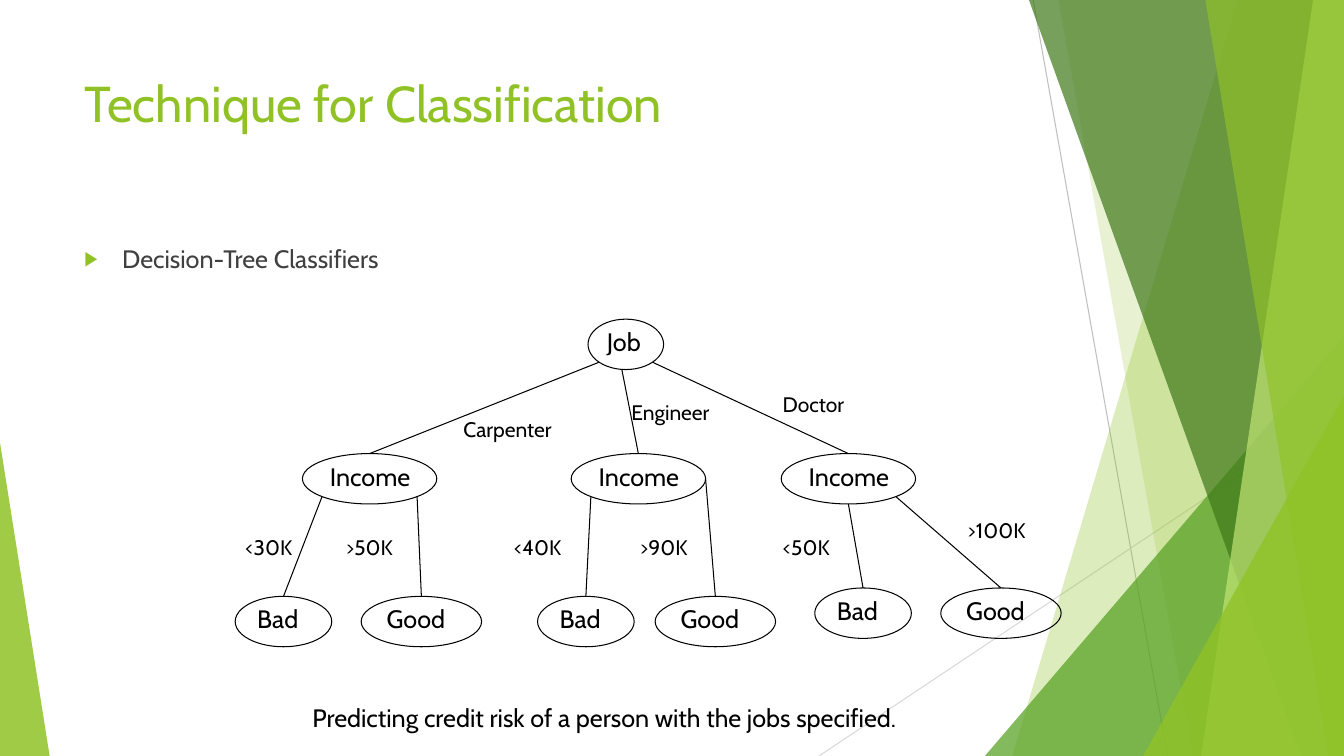
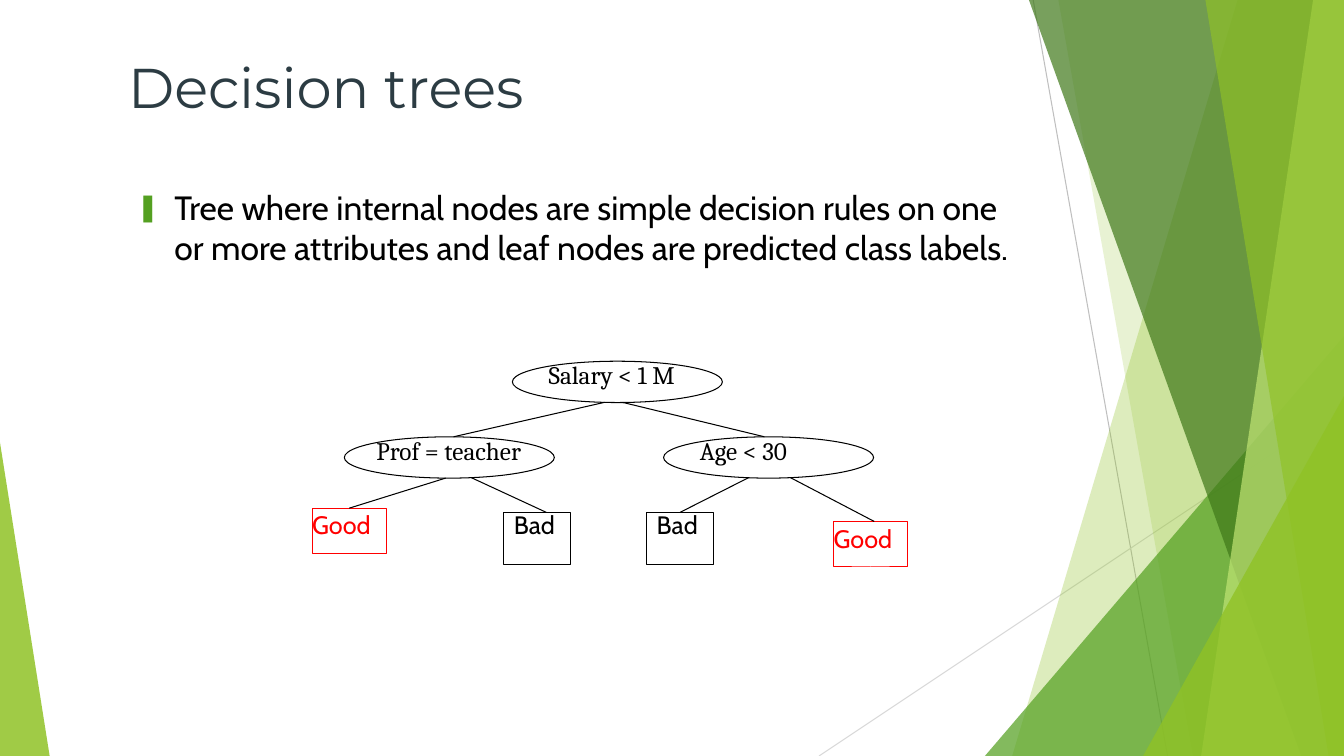
from dataclasses import dataclass
from math import cos, radians, sin

from lxml.etree import SubElement
from pptx import Presentation
from pptx.dml.color import RGBColor
from pptx.enum.shapes import MSO_CONNECTOR, MSO_SHAPE
from pptx.enum.text import MSO_ANCHOR, MSO_AUTO_SIZE, PP_ALIGN
from pptx.oxml.ns import qn
from pptx.util import Pt


@dataclass(frozen=True)
class Theme:
    width: float = 960
    height: float = 540
    lime: str = "90C226"
    green: str = "54A021"
    forest: str = "3F7819"
    pale_lime: str = "C0E474"
    slate: str = "2C3C43"
    gray: str = "404040"
    silver: str = "BFBFBF"
    light_gray: str = "D9D9D9"
    black: str = "000000"
    red: str = "FF0000"
    font: str = "Cabin"
    serif: str = "Cambria"
    display: str = "Montserrat"
    title: float = 36
    large_title: float = 40
    large_body: float = 24
    body: float = 18
    label: float = 15
    line: float = 0.75


THEME = Theme()
OVAL = MSO_SHAPE.OVAL
BOX = MSO_SHAPE.RECTANGLE


def rgb(color):
    return RGBColor.from_string(color)


# Text
def write_text(shape, text, *, size=THEME.body, font=THEME.font, color=THEME.black,
               insets=(7.2, 3.6, 7.2, 3.6), anchor=MSO_ANCHOR.TOP,
               line_spacing=None, space_before=0):
    frame = shape.text_frame
    frame.word_wrap = True
    frame.auto_size = MSO_AUTO_SIZE.NONE
    frame.vertical_anchor = anchor
    frame.margin_left, frame.margin_top, frame.margin_right, frame.margin_bottom = map(Pt, insets)
    paragraph = frame.paragraphs[0]
    paragraph.alignment = PP_ALIGN.LEFT
    paragraph.space_before = Pt(space_before)
    if line_spacing:
        paragraph.line_spacing = line_spacing
    run = paragraph.add_run()
    run.text = text
    run.font.size = Pt(size)
    run.font.name = font
    run.font.color.rgb = rgb(color)
    return paragraph


def add_label(slide, text, left, top, width, height=25, size=THEME.label):
    shape = slide.shapes.add_textbox(Pt(left), Pt(top), Pt(width), Pt(height))
    write_text(shape, text, size=size)


def fill_placeholder(placeholder, frame, text, **text_format):
    placeholder.left, placeholder.top, placeholder.width, placeholder.height = map(Pt, frame)
    return write_text(placeholder, text, **text_format)


def set_bullet(paragraph, character, color, indent=27):
    properties = paragraph._p.get_or_add_pPr()
    properties.set("marL", str(Pt(indent)))
    properties.set("indent", str(-Pt(indent)))
    bullet_color = SubElement(properties, qn("a:buClr"))
    SubElement(bullet_color, qn("a:srgbClr"), val=color)
    SubElement(properties, qn("a:buSzPct"), val="80000")
    SubElement(properties, qn("a:buChar"), char=character)


# Lines and fills
def add_line(shapes, start, end, color=THEME.black):
    connector = shapes.add_connector(MSO_CONNECTOR.STRAIGHT, *map(Pt, (*start, *end)))
    connector.line.color.rgb = rgb(color)
    connector.line.width = Pt(THEME.line)
    SubElement(connector.element.spPr, qn("a:effectLst"))
    return connector


def fill_facet(shape, color, opacity):
    shape.shadow.inherit = False
    shape.line.fill.background()
    shape.fill.solid()
    shape.fill.fore_color.rgb = rgb(color)
    color_element = shape.element.spPr.find(qn("a:solidFill"))[0]
    SubElement(color_element, qn("a:alpha"), val=str(opacity * 1000))


# Shared background of translucent facets
def add_band(shapes, top_x, bottom_x, color, opacity):
    builder = shapes.build_freeform(Pt(top_x), Pt(0))
    corners = ((THEME.width, 0), (THEME.width, THEME.height), (bottom_x, THEME.height))
    builder.add_line_segments([(Pt(x), Pt(y)) for x, y in corners], close=True)
    fill_facet(builder.convert_to_shape(), color, opacity)


def add_triangle(shapes, left, top, width, apex, color, opacity):
    shape = shapes.add_shape(MSO_SHAPE.ISOSCELES_TRIANGLE, Pt(left), Pt(top),
                             Pt(width), Pt(THEME.height - top))
    shape.adjustments[0] = apex
    fill_facet(shape, color, opacity)


def add_background(layout, slide):
    """Draw the facets as one group and move it to the layout."""
    group = slide.shapes.add_group_shape()
    shapes = group.shapes
    add_line(shapes, (738, 0), (834, THEME.height), THEME.silver)
    add_line(shapes, (THEME.width, 290), (585, THEME.height), THEME.light_gray)
    add_band(shapes, 884, 723, THEME.lime, 30)
    add_band(shapes, 756, 852, THEME.lime, 20)
    add_triangle(shapes, 703.5, 240, 256.5, 1, THEME.green, 72)
    add_band(shapes, 735, 929.5, THEME.forest, 70)
    add_band(shapes, 938, 858, THEME.pale_lime, 70)
    add_band(shapes, 861, 949, THEME.lime, 65)
    add_triangle(shapes, 816.5, 283, 143.5, 1, THEME.lime, 80)
    add_triangle(shapes, 0, 316, 35.5, 0, THEME.lime, 85)
    tree = layout.shapes.element
    tree.insert(2, group.element)
    for number, properties in enumerate(tree.iter(qn("p:cNvPr")), start=1):
        properties.set("id", str(number))


# Tree parts
def add_node(slide, kind, text, frame, color=THEME.black, **text_format):
    shape = slide.shapes.add_shape(kind, *map(Pt, frame))
    shape.shadow.inherit = False
    shape.fill.background()
    shape.line.color.rgb = rgb(color if kind == BOX else THEME.black)
    shape.line.width = Pt(THEME.line)
    write_text(shape, text, color=color, **text_format)
    return shape


def add_branch(slide, parent, angle, child, shift=0):
    """Link the parent oval's rim, at a clockwise angle, to the child's top."""
    start = (parent.left.pt + parent.width.pt / 2 * (1 + cos(radians(angle))),
             parent.top.pt + parent.height.pt / 2 * (1 + sin(radians(angle))))
    end = (child.left.pt + child.width.pt / 2 + shift, child.top.pt)
    connector = add_line(slide.shapes, start, end)
    if not shift:
        connector.end_connect(child, 0)


# Slides
def build_credit_slide(slide):
    title, body = slide.placeholders
    fill_placeholder(title, (53, 48, 677, 104), "Technique for Classification",
                     size=THEME.title, color=THEME.lime)
    paragraph = fill_placeholder(body, (53, 170, 677, 305), "Decision-Tree Classifiers",
                                 color=THEME.gray, space_before=10)
    set_bullet(paragraph, "▶", THEME.lime)

    oval_insets = (5.6, 0, 0, 0)
    job = add_node(slide, OVAL, "Job", (420, 228, 54, 36), insets=oval_insets)
    # Income left, angle from Job, leaf top, then (leaf left, angle from Income)
    branches = (
        (216, 135, 426, (168, 135), (258, 45)),
        (408, 96, 426, (384, 135), (468, 0)),
        (558, 45, 420, (582, 90), (672, 45)),
    )
    for left, job_angle, leaf_top, bad, good in branches:
        income = add_node(slide, OVAL, "Income", (left, 324, 96, 36), insets=oval_insets)
        add_branch(slide, job, job_angle, income)
        for text, width, (leaf_left, angle) in (("Bad", 69, bad), ("Good", 86, good)):
            leaf = add_node(slide, OVAL, text, (leaf_left, leaf_top, width, 36),
                            insets=oval_insets)
            add_branch(slide, income, angle, leaf)

    labels = (
        ("Carpenter", 324, 294, 102), ("Engineer", 444, 282, 102), ("Doctor", 552, 276, 102),
        ("<30K", 168, 378, 54), ("<40K", 360, 378, 54), ("<50K", 552, 378, 54),
        (">50K", 240, 378, 54), (">90K", 450, 378, 54), (">100K", 684, 366, 66),
    )
    for label in labels:
        add_label(slide, *label)
    add_label(slide, "Predicting credit risk of a person with the jobs specified.",
              216, 498, 486, height=29, size=THEME.body)


def build_tree_slide(slide):
    title, body = slide.placeholders
    narrow = (1.5, 3.6, 1.5, 3.6)
    fill_placeholder(title, (90, 16.5, 612, 90), "Decision trees", size=THEME.large_title,
                     font=THEME.display, color=THEME.slate, insets=narrow,
                     anchor=MSO_ANCHOR.MIDDLE, space_before=5.2)
    paragraph = fill_placeholder(
        body, (96, 130, 636, 157),
        "Tree where internal nodes are simple decision rules on one or more attributes "
        "and leaf nodes are predicted class labels.",
        size=THEME.large_body, insets=narrow, space_before=9.8)
    set_bullet(paragraph, "❚", THEME.green)

    def add_rule(text, left, top, inset=4):
        return add_node(slide, OVAL, text, (left, top, 150, 29.5), font=THEME.serif,
                        insets=(inset, 0, 0, 0), line_spacing=0.72)

    def add_good(left, top):
        return add_node(slide, BOX, "Good", (left, top, 53, 32.5), color=THEME.red,
                        insets=(0, 6.5, 0, 0), line_spacing=0.72)

    def add_bad(left):
        return add_node(slide, BOX, "Bad", (left, 366, 47.5, 37.5),
                        insets=(7.2, 3.6, 0, 0), line_spacing=0.72)

    salary = add_rule("Salary < 1 M", 366, 258)
    profession = add_rule("Prof = teacher", 246, 312, inset=1)
    age = add_rule("Age < 30", 474, 312)
    add_branch(slide, salary, 97, profession, shift=3)
    add_branch(slide, salary, 87, age, shift=-3)
    add_branch(slide, profession, 92, add_good(223, 363))
    add_branch(slide, profession, 78, add_bad(360), shift=6.5)
    add_branch(slide, age, 101, add_bad(462))
    add_branch(slide, age, 78, add_good(595.5, 372.5), shift=2.5)


def main():
    presentation = Presentation()
    presentation.slide_width = Pt(THEME.width)
    presentation.slide_height = Pt(THEME.height)
    layout = presentation.slide_layouts[1]
    slides = [presentation.slides.add_slide(layout) for _ in range(2)]
    add_background(layout, slides[0])
    build_credit_slide(slides[0])
    build_tree_slide(slides[1])
    presentation.save("out.pptx")


if __name__ == "__main__":
    main()
